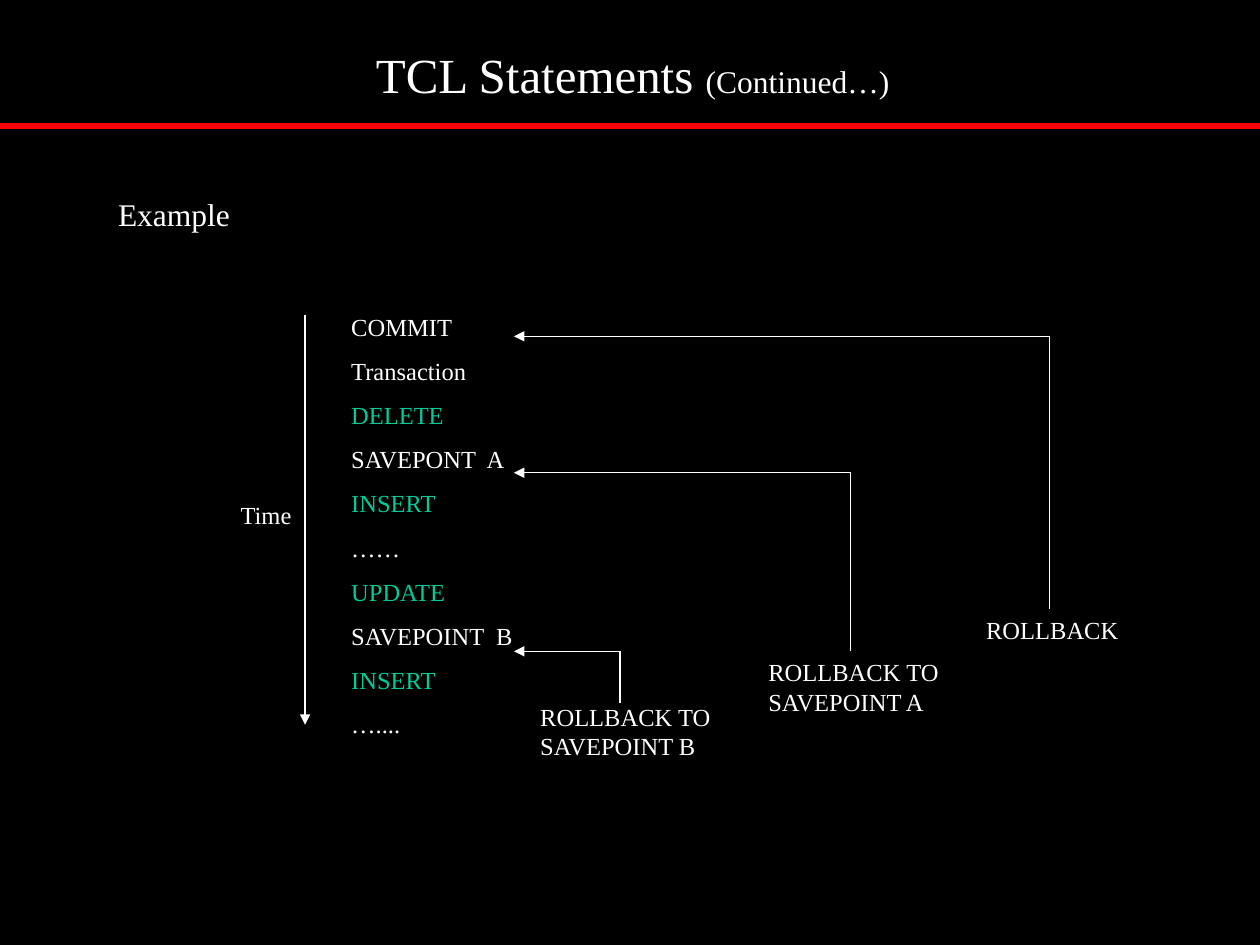
from lxml.etree import SubElement
from pptx import Presentation
from pptx.dml.color import RGBColor
from pptx.enum.shapes import MSO_CONNECTOR as Connector
from pptx.enum.text import MSO_ANCHOR as Anchor, MSO_AUTO_SIZE as AutoSize, PP_ALIGN as Align
from pptx.oxml.ns import qn
from pptx.util import Cm, Pt

BLACK = RGBColor(0x00, 0x00, 0x00)
WHITE = RGBColor(0xFF, 0xFF, 0xFF)
RED = RGBColor(0xFF, 0x00, 0x00)
GREEN = RGBColor(0x00, 0xCC, 0x99)
FONT = "Times New Roman"
PAGE_WIDTH, PAGE_HEIGHT = 25.4, 19.05

STATEMENTS = ["COMMIT", "Transaction", "DELETE", "SAVEPONT  A", "INSERT", "……",
              "UPDATE", "SAVEPOINT  B", "INSERT", "….…".replace("….…", "…....")]
DATA_CHANGES = {"DELETE", "INSERT", "UPDATE"}


def add_text(page, paragraphs, box, size=14, align=Align.LEFT, anchor=Anchor.TOP,
             spacing=None, wrap=False):
    """Each paragraph is a list of spans: (text, colour) or (text, colour, size)."""
    frame = page.shapes.add_textbox(*map(Cm, box)).text_frame
    frame.word_wrap = wrap
    frame.auto_size = AutoSize.NONE if wrap else AutoSize.SHAPE_TO_FIT_TEXT
    frame.vertical_anchor = anchor
    for index, spans in enumerate(paragraphs):
        para = frame.add_paragraph() if index else frame.paragraphs[0]
        para.alignment = align
        para.line_spacing = spacing
        for text, colour, *own_size in spans:
            span = para.add_run()
            span.text = text
            span.font.name = FONT
            span.font.size = Pt(own_size[0] if own_size else size)
            span.font.color.rgb = colour


def add_line(page, start, end, colour=WHITE, width=0.75, arrow=False):
    line = page.shapes.add_connector(Connector.STRAIGHT, *map(Cm, (*start, *end)))
    line.line.color.rgb = colour
    line.line.width = Pt(width)
    if arrow:
        SubElement(line.line._get_or_add_ln(), qn("a:tailEnd"), type="triangle")
    SubElement(line._element.spPr, qn("a:effectLst"))


def add_header(page, left, top, width, height):
    add_text(page, [[("TCL Statements ", WHITE), ("(Continued…)", WHITE, 18)]],
             (left + 1.96, top + 0.64, 21.59, 1.7), size=28,
             align=Align.CENTER, anchor=Anchor.MIDDLE, wrap=True)
    add_line(page, (left, top + height), (left + width, top + height), RED, 3)


def add_rollback(page, lines, label_box, corner, stem_end, tip):
    """A label with a stem up to the corner and an arrow left to the tip."""
    add_text(page, [[(line, WHITE)] for line in lines], label_box)
    x, y = corner
    add_line(page, corner, (x, stem_end))
    add_line(page, corner, (tip, y), arrow=True)


def add_timeline(page, left, top):
    add_text(page, [[(name, GREEN if name in DATA_CHANGES else WHITE)]
                    for name in STATEMENTS],
             (left + 2.23, top, 3.84, 9.14), spacing=1.5)
    add_text(page, [[("Time", WHITE)]], (left, top + 4.09, 1.55, 0.86))
    add_line(page, (left + 1.55, top + 0.48), (left + 1.55, top + 8.74), arrow=True)

    rollbacks = [
        (["ROLLBACK TO", "SAVEPOINT B"], (6.04, 8.15, 4.09, 1.45), (7.9, 7.26), 8.3),
        (["ROLLBACK TO", "SAVEPOINT A"], (10.64, 7.26, 4.09, 1.45), (12.55, 3.66), 7.26),
        (["ROLLBACK"], (15.03, 6.4, 3.18, 0.86), (16.56, 0.91), 6.4),
    ]
    for lines, (x, y, width, height), (corner_x, corner_y), stem_end in rollbacks:
        add_rollback(page, lines, (left + x, top + y, width, height),
                     (left + corner_x, top + corner_y), top + stem_end, left + 5.76)


def main():
    deck = Presentation()
    deck.slide_width, deck.slide_height = Cm(PAGE_WIDTH), Cm(PAGE_HEIGHT)
    page = deck.slides.add_slide(deck.slide_layouts[6])
    page.background.fill.solid()
    page.background.fill.fore_color.rgb = BLACK
    add_header(page, 0, 0, PAGE_WIDTH, 2.54)
    add_text(page, [[("Example", WHITE)]], (2.13, 3.81, 2.77, 1.02), size=18)
    add_timeline(page, 4.6, 5.87)
    deck.save("out.pptx")


if __name__ == "__main__":
    main()
